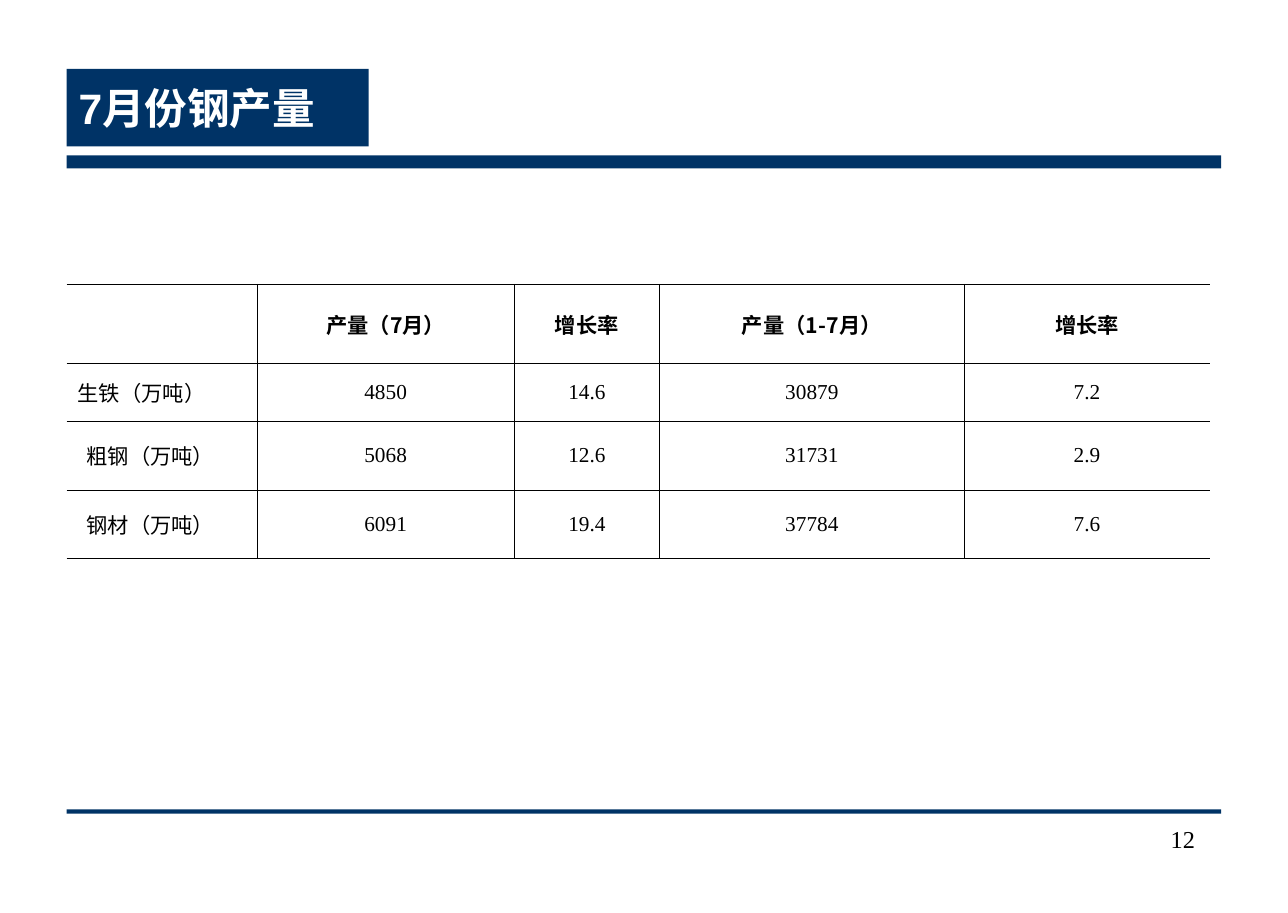
from lxml.etree import SubElement
from pptx import Presentation
from pptx.dml.color import RGBColor
from pptx.enum.shapes import MSO_SHAPE
from pptx.enum.text import MSO_ANCHOR, MSO_AUTO_SIZE, PP_ALIGN
from pptx.oxml.ns import qn
from pptx.util import Pt

PX = 9144  # EMU per px, 100 px to the inch
NAVY, WHITE, BLACK = "003366", "FFFFFF", "000000"
CHINESE_FONT = "Noto Sans CJK SC"


def paint(fill, color):
    fill.solid()
    fill.fore_color.rgb = RGBColor.from_string(color)


def write_text(frame, text, size=14, font="Times New Roman", color=BLACK,
               bold=False, align=PP_ALIGN.LEFT):
    paragraph = frame.paragraphs[0]
    paragraph.alignment = align
    run = paragraph.add_run()
    run.text = text
    run.font.size = Pt(size)
    run.font.bold = bold
    run.font.name = font
    paint(run.font.fill, color)
    SubElement(run._r.get_or_add_rPr(), qn("a:ea"), typeface=CHINESE_FONT)


# The page is 847.5 by 601 points
presentation = Presentation()
presentation.slide_width = Pt(847.5)
presentation.slide_height = Pt(601)
slide = presentation.slides.add_slide(presentation.slide_layouts[5])

# Rules below the title and above the page number
for top, height in [(142, 12), (740, 4)]:
    rule = slide.shapes.add_shape(MSO_SHAPE.RECTANGLE, 61 * PX, top * PX, 1055 * PX, height * PX)
    rule.shadow.inherit = False
    rule.line.fill.background()
    paint(rule.fill, NAVY)

# Title and page number
title = slide.shapes.title
title.left, title.top, title.width, title.height = 61 * PX, 63 * PX, 276 * PX, 71 * PX
paint(title.fill, NAVY)
page_number = slide.shapes.add_textbox(1014 * PX, 748 * PX, 89 * PX, 58 * PX)
for shape, anchor in [(title, MSO_ANCHOR.MIDDLE), (page_number, MSO_ANCHOR.TOP)]:
    frame = shape.text_frame
    frame.word_wrap = True
    frame.auto_size = MSO_AUTO_SIZE.NONE
    frame.vertical_anchor = anchor
    frame.margin_left = frame.margin_right = 11 * PX
    frame.margin_top = frame.margin_bottom = 6 * PX
write_text(title.text_frame, "7月份钢产量", size=28, font="Arial", color=WHITE, bold=True)
write_text(page_number.text_frame, "12", size=16, align=PP_ALIGN.RIGHT)

# Steel output table
output_rows = [
    ["", "产量（7月）", "增长率", "产量（1-7月）", "增长率"],
    ["生铁（万吨）", "4850", "14.6", "30879", "7.2"],
    ["粗钢（万吨）", "5068", "12.6", "31731", "2.9"],
    ["钢材（万吨）", "6091", "19.4", "37784", "7.6"],
]
column_widths = [174, 235, 133, 278, 225]
row_heights = [72, 53, 63, 63]
last_row, last_column = len(row_heights) - 1, len(column_widths) - 1
table = slide.shapes.add_table(len(row_heights), len(column_widths), 61 * PX, 260 * PX,
                               sum(column_widths) * PX, sum(row_heights) * PX).table
table.first_row = table.horz_banding = False
for column, width in zip(table.columns, column_widths):
    column.width = width * PX
for row, height in zip(table.rows, row_heights):
    row.height = height * PX

for row_index, values in enumerate(output_rows):
    for column_index, value in enumerate(values):
        cell = table.cell(row_index, column_index)
        cell.vertical_anchor = MSO_ANCHOR.MIDDLE
        cell.margin_left = cell.margin_right = 10 * PX
        cell.margin_top = cell.margin_bottom = 5 * PX

        # Borders: open at the sides, heavier at the top and bottom edge
        borders = {
            "a:lnL": 0 if column_index == 0 else 0.45,
            "a:lnR": 0 if column_index == last_column else 0.45,
            "a:lnT": 0.75 if row_index == 0 else 0.45,
            "a:lnB": 0.75 if row_index == last_row else 0.45,
        }
        cell_properties = cell._tc.get_or_add_tcPr()
        for side, weight in borders.items():
            border = SubElement(cell_properties, qn(side), w=str(int(Pt(weight))))
            if weight:
                SubElement(SubElement(border, qn("a:solidFill")), qn("a:srgbClr"), val=BLACK)
            else:
                SubElement(border, qn("a:noFill"))

        is_header = row_index == 0
        if is_header:
            cell.fill.background()
        else:
            paint(cell.fill, WHITE)
        if value:
            write_text(cell.text_frame, value, bold=is_header,
                       font=CHINESE_FONT if is_header else "Times New Roman",
                       align=PP_ALIGN.CENTER if column_index else PP_ALIGN.LEFT)

# The last two row labels are set in a little
for row_index in (2, 3):
    table.cell(row_index, 0).margin_left = 18 * PX

presentation.save("out.pptx")
